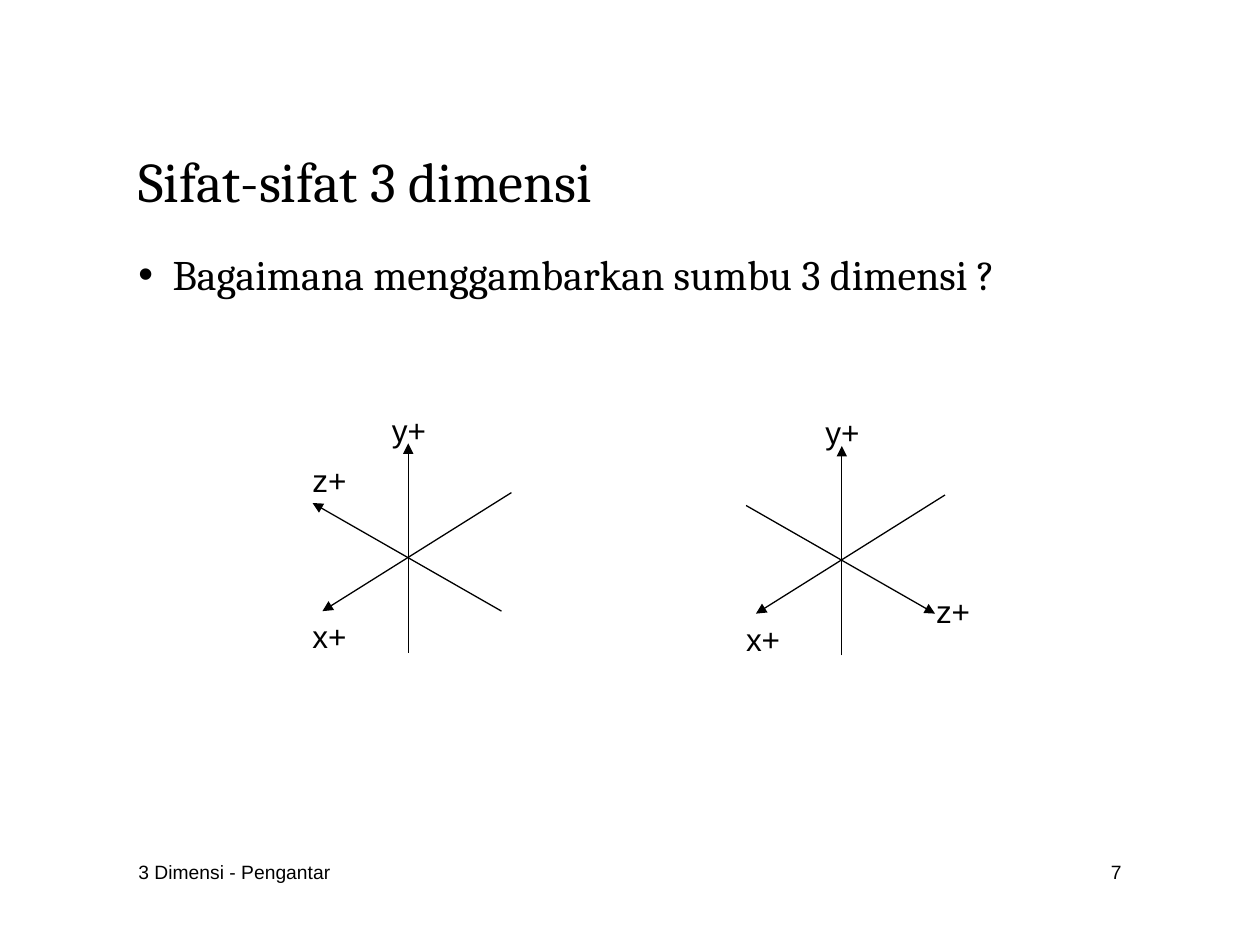
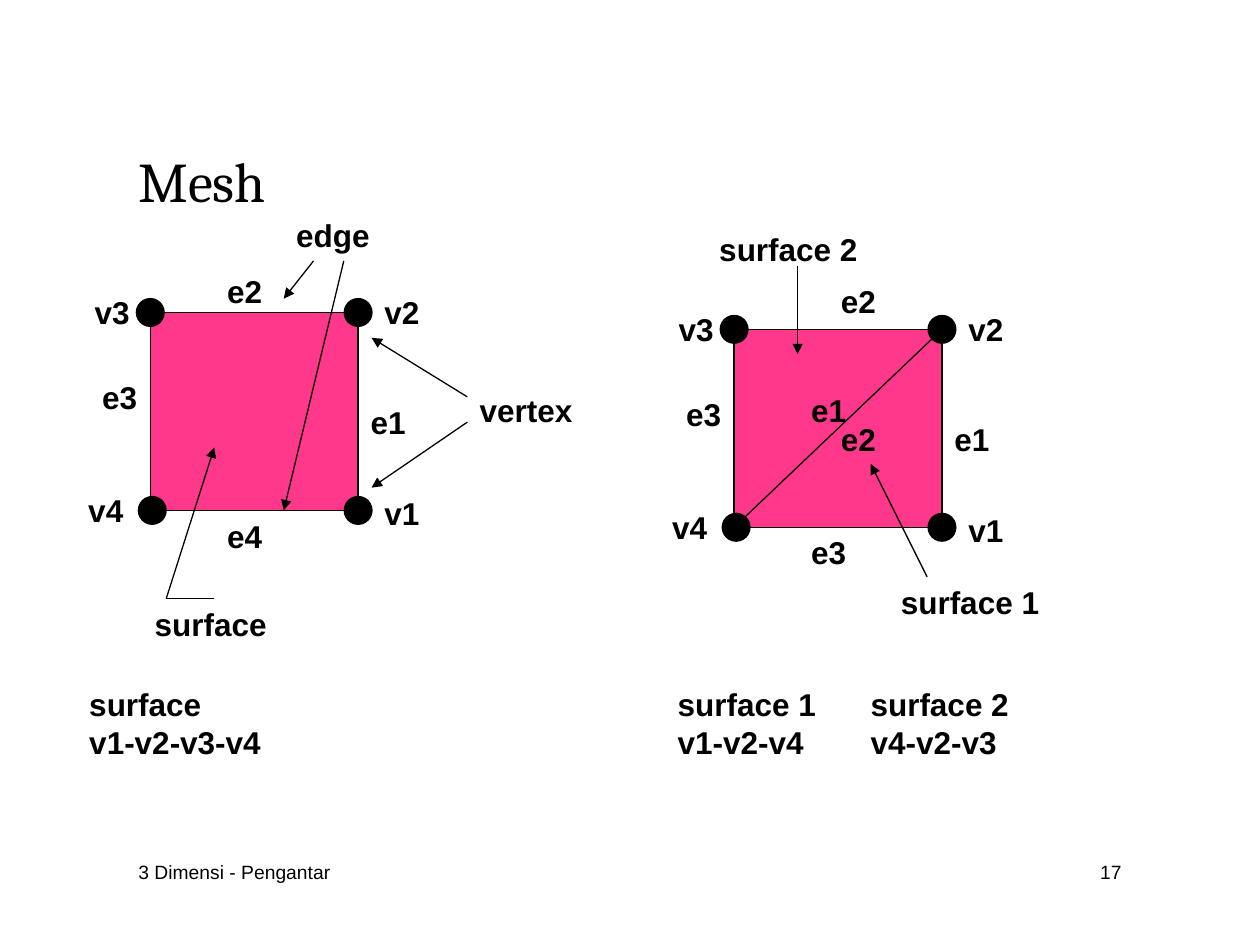
from dataclasses import dataclass

from lxml import etree
from pptx import Presentation
from pptx.dml.color import RGBColor
from pptx.enum.shapes import MSO_CONNECTOR, MSO_SHAPE
from pptx.enum.text import MSO_ANCHOR, MSO_AUTO_SIZE, PP_ALIGN
from pptx.oxml.ns import qn
from pptx.util import Cm, Pt

STRAIGHT = MSO_CONNECTOR.STRAIGHT
RECTANGLE, OVAL = MSO_SHAPE.RECTANGLE, MSO_SHAPE.OVAL
TOP, MIDDLE, BOTTOM = MSO_ANCHOR.TOP, MSO_ANCHOR.MIDDLE, MSO_ANCHOR.BOTTOM
LEFT, RIGHT = PP_ALIGN.LEFT, PP_ALIGN.RIGHT
FIT_SHAPE, NO_FIT = MSO_AUTO_SIZE.SHAPE_TO_FIT_TEXT, MSO_AUTO_SIZE.NONE


@dataclass(frozen=True)
class Theme:
    ink: RGBColor = RGBColor(0x00, 0x00, 0x00)
    face: RGBColor = RGBColor(0xFF, 0x38, 0x8C)
    heading_font: str = "Cambria"
    label_font: str = "Arial"
    title_size: float = 32
    body_size: float = 24
    label_size: float = 18
    footer_size: float = 11
    line_width: float = 0.75


@dataclass(frozen=True)
class Label:
    """Text with its box; lengths in centimetres."""
    text: str
    left: float
    top: float
    width: float = 1.22
    height: float = 1.02


@dataclass(frozen=True)
class Line:
    """Straight line; lengths in centimetres."""
    x1: float
    y1: float
    x2: float
    y2: float
    arrow: bool = True


THEME = Theme()
MARGIN, CONTENT_WIDTH = 2.54, 20.32
FOOTER_TOP, FOOTER_HEIGHT = 17.15, 0.84
FOOTER_TEXT = "3 Dimensi - Pengantar"

# Axis figure, measured from the crossing point
AXES = (Line(2.08, -1.3, -1.73, 1.09), Line(0, 1.93, 0, -2.29))
AXIS_LABELS = (Label("x+", -2.18, 1.09, 1.19), Label("y+", -0.58, -3.07, 1.19))

# Square mesh, measured from its top left corner
MESH_WIDTH, MESH_HEIGHT, VERTEX_SIZE = 4.19, 3.99, 0.56
VERTICES = ((0, 0), (MESH_WIDTH, 0), (0.04, MESH_HEIGHT), (MESH_WIDTH, MESH_HEIGHT))
MESH_LABELS = (
    Label("v1", 4.47, 3.53), Label("v2", 4.47, -0.51),
    Label("v3", -1.37, -0.51), Label("v4", -1.5, 3.48),
    Label("e1", 4.19, 1.7), Label("e3", -1.22, 1.19),
)
QUAD_LABELS = (Label("e2", 1.3, -0.94), Label("e4", 1.3, MESH_HEIGHT))
TRIANGLE_LABELS = (
    Label("e2", 1.9, -1.07), Label("e3", 1.3, MESH_HEIGHT),
    Label("e1", 1.3, 1.12), Label("e2", 1.9, 1.7),
)
DIAGONAL = Line(MESH_WIDTH, 0, 0, MESH_HEIGHT, arrow=False)

# Callouts and vertex lists, measured from the slide corner
LIST_TOP, LIST_HEIGHT = 13.69, 1.78
CALLOUTS = (
    Label("surface", 2.87, 12.07, 2.8),
    Label("vertex", 9.42, 7.75, 2.5),
    Label("edge", 5.72, 4.24, 2.1),
    Label("surface 2", 14.25, 4.52, 3.35),
    Label("surface 1", 17.91, 11.63, 3.35),
    Label("surface\nv1-v2-v3-v4", 1.55, LIST_TOP, 4.35, LIST_HEIGHT),
    Label("surface 1\nv1-v2-v4", 13.41, LIST_TOP, 3.4, LIST_HEIGHT),
    Label("surface 2\nv4-v2-v3", 17.3, LIST_TOP, 3.35, LIST_HEIGHT),
)
POINTERS = (
    Line(4.32, 12.07, 3.35, 12.07, arrow=False),
    Line(3.35, 12.07, 4.32, 9.02),
    Line(9.42, 8, 7.49, 6.81),
    Line(9.42, 8.51, 7.49, 9.83),
    Line(6.32, 5.26, 5.72, 6.02),
    Line(6.93, 5.26, 5.72, 10.29),
    Line(18.69, 11.63, 17.55, 9.35),
    Line(16.08, 5.36, 16.08, 7.14),
)


def add_bullet(paragraph) -> None:
    properties = paragraph._p.get_or_add_pPr()
    properties.set("marL", str(Cm(0.69)))
    properties.set("indent", str(-Cm(0.69)))
    etree.SubElement(properties, qn("a:buFont"), typeface="Arial")
    etree.SubElement(properties, qn("a:buChar"), char="•")


def add_text(slide, label: Label, *, size: float = THEME.label_size,
             font: str = THEME.label_font, bold: bool = False, align=LEFT,
             anchor=TOP, wrap: bool = True, bullet: bool = False,
             line_spacing: float = 1.0) -> None:
    box = slide.shapes.add_textbox(
        Cm(label.left), Cm(label.top), Cm(label.width), Cm(label.height))
    frame = box.text_frame
    frame.word_wrap = wrap
    frame.auto_size = NO_FIT if wrap else FIT_SHAPE
    frame.vertical_anchor = anchor
    frame.text = label.text
    for paragraph in frame.paragraphs:
        paragraph.alignment = align
        paragraph.line_spacing = line_spacing
        if bullet:
            add_bullet(paragraph)
        for run in paragraph.runs:
            run.font.name = font
            run.font.size = Pt(size)
            run.font.bold = bold
            run.font.color.rgb = THEME.ink


def add_labels(slide, labels: tuple[Label, ...], x: float = 0, y: float = 0,
               bold: bool = False) -> None:
    for label in labels:
        placed = Label(label.text, x + label.left, y + label.top,
                       label.width, label.height)
        add_text(slide, placed, bold=bold, wrap=False)


def add_lines(slide, lines: tuple[Line, ...], x: float = 0, y: float = 0) -> None:
    for line in lines:
        connector = slide.shapes.add_connector(
            STRAIGHT, Cm(x + line.x1), Cm(y + line.y1),
            Cm(x + line.x2), Cm(y + line.y2))
        connector.line.color.rgb = THEME.ink
        connector.line.width = Pt(THEME.line_width)
        properties = connector._element.spPr
        if line.arrow:
            etree.SubElement(properties.get_or_add_ln(), qn("a:tailEnd"),
                             type="triangle")
        etree.SubElement(properties, qn("a:effectLst"))


def add_filled_shape(slide, kind, left: float, top: float, width: float,
                     height: float, color: RGBColor) -> None:
    shape = slide.shapes.add_shape(kind, Cm(left), Cm(top), Cm(width), Cm(height))
    shape.shadow.inherit = False
    shape.fill.solid()
    shape.fill.fore_color.rgb = color
    shape.line.color.rgb = THEME.ink
    shape.line.width = Pt(THEME.line_width)


def add_axes(slide, x: float, y: float, z_axis: Line, z_label: Label) -> None:
    add_lines(slide, (z_axis, *AXES), x, y)
    add_labels(slide, (z_label, *AXIS_LABELS), x, y)


def add_mesh(slide, x: float, y: float, extra_labels: tuple[Label, ...],
             inner_lines: tuple[Line, ...] = ()) -> None:
    add_filled_shape(slide, RECTANGLE, x, y, MESH_WIDTH, MESH_HEIGHT, THEME.face)
    radius = VERTEX_SIZE / 2
    for vertex_x, vertex_y in VERTICES:
        add_filled_shape(slide, OVAL, x + vertex_x - radius, y + vertex_y - radius,
                         VERTEX_SIZE, VERTEX_SIZE, THEME.ink)
    add_lines(slide, inner_lines, x, y)
    add_labels(slide, MESH_LABELS + extra_labels, x, y, bold=True)


def add_titled_slide(presentation, title: str, number: int):
    """Add a blank slide with the shared title, footer and page number."""
    slide = presentation.slides.add_slide(presentation.slide_layouts[6])
    add_text(slide, Label(title, MARGIN, 1.19, CONTENT_WIDTH, 3.25),
             size=THEME.title_size, font=THEME.heading_font, anchor=BOTTOM)
    add_text(slide, Label(FOOTER_TEXT, MARGIN, FOOTER_TOP, 15.44, FOOTER_HEIGHT),
             size=THEME.footer_size, anchor=MIDDLE)
    add_text(slide, Label(str(number), 21.39, FOOTER_TOP, 1.47, FOOTER_HEIGHT),
             size=THEME.footer_size, anchor=MIDDLE, align=RIGHT)
    return slide


def build_axes_slide(presentation) -> None:
    slide = add_titled_slide(presentation, "Sifat-sifat 3 dimensi", 7)
    question = Label("Bagaimana menggambarkan sumbu 3 dimensi ?",
                     MARGIN, 5, CONTENT_WIDTH, 11.86)
    add_text(slide, question, size=THEME.body_size, font=THEME.heading_font,
             bullet=True, line_spacing=0.9)
    add_axes(slide, 8.23, 11.23, Line(1.88, 1.09, -1.93, -1.09),
             Label("z+", -2.18, -2.06, 1.19))
    add_axes(slide, 16.97, 11.28, Line(-1.93, -1.09, 1.88, 1.09),
             Label("z+", 1.65, 0.53, 1.19))


def build_mesh_slide(presentation) -> None:
    slide = add_titled_slide(presentation, "Mesh", 17)
    add_mesh(slide, 3.03, 6.3, QUAD_LABELS)
    add_mesh(slide, 14.8, 6.64, TRIANGLE_LABELS, (DIAGONAL,))
    add_labels(slide, CALLOUTS, bold=True)
    add_lines(slide, POINTERS)


def main() -> None:
    presentation = Presentation()
    presentation.slide_width, presentation.slide_height = Cm(25.4), Cm(19.05)
    build_axes_slide(presentation)
    build_mesh_slide(presentation)
    presentation.save("out.pptx")


if __name__ == "__main__":
    main()
